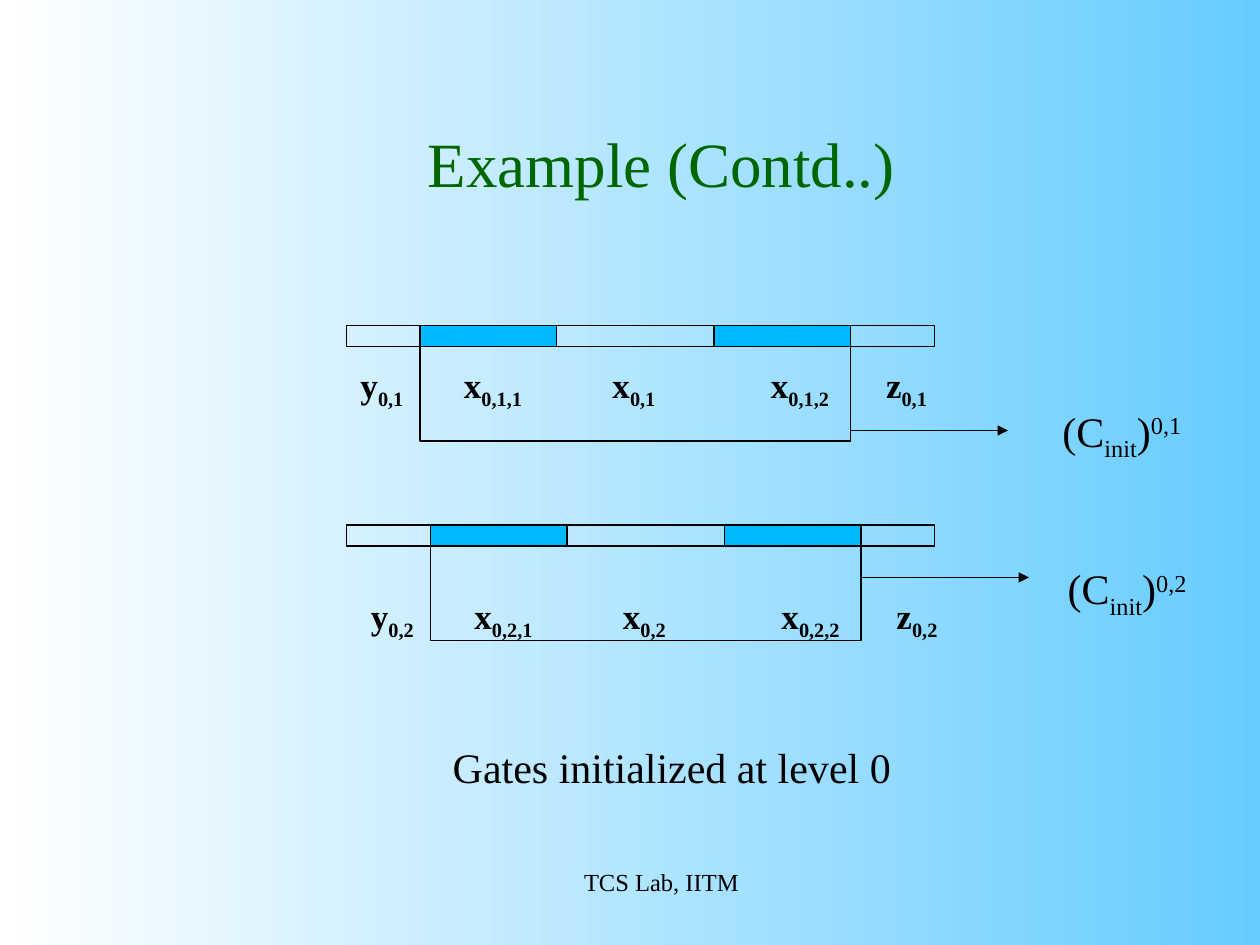
from dataclasses import dataclass

from lxml.etree import SubElement
from pptx import Presentation
from pptx.dml.color import RGBColor
from pptx.enum.shapes import MSO_CONNECTOR, MSO_SHAPE
from pptx.enum.text import MSO_ANCHOR, PP_ALIGN
from pptx.oxml.ns import qn
from pptx.util import Inches, Pt


@dataclass(frozen=True)
class Theme:
    """Colours, type sizes and line width of the slide."""
    font: str = "Times New Roman"
    ink: RGBColor = RGBColor(0, 0, 0)
    title_ink: RGBColor = RGBColor(0x00, 0x66, 0x00)
    segment: RGBColor = RGBColor(0x00, 0xB8, 0xFF)
    sky: RGBColor = RGBColor(0x66, 0xCC, 0xFF)
    white: RGBColor = RGBColor(0xFF, 0xFF, 0xFF)
    title: int = 36
    body: int = 24
    label: int = 20
    footer: int = 14
    line: float = 0.75


THEME = Theme()
SUB, SUPER = -25000, 30000
LABEL_COLUMNS = ((33.15, 6.8), (43, 9), (57.15, 6.8), (72.25, 8.2), (83.2, 6.8))


def cell(n):
    """Turn grid cells, twelve to the inch, into a length."""
    return Inches(n / 12)


def set_background(s):
    """Fade the background from sky blue on the right to white on the left."""
    fill = s.background.fill
    fill.gradient()
    fill.gradient_angle = 180
    for stop, color, position in zip(fill.gradient_stops, (THEME.sky, THEME.white), (0, 1)):
        stop.color.rgb = color
        stop.position = position


def add_text(shapes, box, runs, size, color=THEME.ink, bold=False,
             align=PP_ALIGN.LEFT, anchor=MSO_ANCHOR.TOP):
    """Add a text box holding one paragraph of (text, baseline) runs."""
    tf = shapes.add_textbox(*map(cell, box)).text_frame
    tf.word_wrap = True
    tf.vertical_anchor = anchor
    p = tf.paragraphs[0]
    p.alignment = align
    for text, baseline in runs:
        r = p.add_run()
        r.text = text
        r.font.name = THEME.font
        r.font.size = Pt(size)
        r.font.bold = bold
        r.font.color.rgb = color
        if baseline:
            r._r.get_or_add_rPr().set("baseline", str(baseline))


def add_box(s, box, color=None):
    """Add an outlined rectangle, filled only when a colour is given."""
    sp = s.shapes.add_shape(MSO_SHAPE.RECTANGLE, *map(cell, box))
    sp.shadow.inherit = False
    sp.line.color.rgb = THEME.ink
    sp.line.width = Pt(THEME.line)
    if color is None:
        sp.fill.background()
    else:
        sp.fill.solid()
        sp.fill.fore_color.rgb = color


def add_arrow(s, x1, x2, y):
    """Add a horizontal arrow that points right."""
    cxn = s.shapes.add_connector(MSO_CONNECTOR.STRAIGHT, *map(cell, (x1, y, x2, y)))
    cxn.line.color.rgb = THEME.ink
    cxn.line.width = Pt(THEME.line)
    SubElement(cxn.line._get_or_add_ln(), qn("a:tailEnd"), type="triangle")
    SubElement(cxn._element.spPr, qn("a:effectLst"))


def add_gate(s, index, left, top, label_top, arrow_end, arrow_y, name_box):
    """Add one gate: its bar, frame, segment labels, arrow and name."""
    add_box(s, (33, top, 56, 2))
    for offset in (0, 28):
        add_box(s, (left + offset, top, 13, 2), THEME.segment)
    labels = (("y", ""), ("x", ",1"), ("x", ""), ("x", ",2"), ("z", ""))
    group = s.shapes.add_group_shape()
    for (letter, suffix), (x, width) in zip(labels, LABEL_COLUMNS):
        runs = ((letter, 0), (f"0,{index}{suffix}", SUB))
        add_text(group.shapes, (x + left - 40, label_top, width, 5.8), runs,
                 THEME.label, bold=True)
    add_box(s, (left, top + 2, 41, 9))
    add_arrow(s, left + 41, arrow_end, arrow_y)
    name = (("(C", 0), ("init", SUB), (")", 0), (f"0,{index}", SUPER))
    add_text(s.shapes, name_box, name, THEME.body)


def main():
    """Build and save the slide."""
    prs = Presentation()
    prs.slide_width, prs.slide_height = cell(120), cell(90)
    s = prs.slides.add_slide(prs.slide_layouts[6])
    set_background(s)
    add_text(s.shapes, (12, 8, 102, 15), (("Example (Contd..)", 0),), THEME.title,
             THEME.title_ink, align=PP_ALIGN.CENTER, anchor=MSO_ANCHOR.MIDDLE)
    add_gate(s, 1, left=40, top=31, label_top=34, arrow_end=96, arrow_y=41,
             name_box=(100, 38, 16, 6.7))
    add_gate(s, 2, left=41, top=50, label_top=56, arrow_end=98, arrow_y=55,
             name_box=(100.5, 53, 16, 6.7))
    add_text(s.shapes, (28, 70, 72, 6), (("Gates initialized at level 0", 0),),
             THEME.body, align=PP_ALIGN.CENTER)
    add_text(s.shapes, (44, 82, 38, 6), (("TCS Lab, IITM", 0),),
             THEME.footer, align=PP_ALIGN.CENTER)
    prs.save("out.pptx")


if __name__ == "__main__":
    main()
